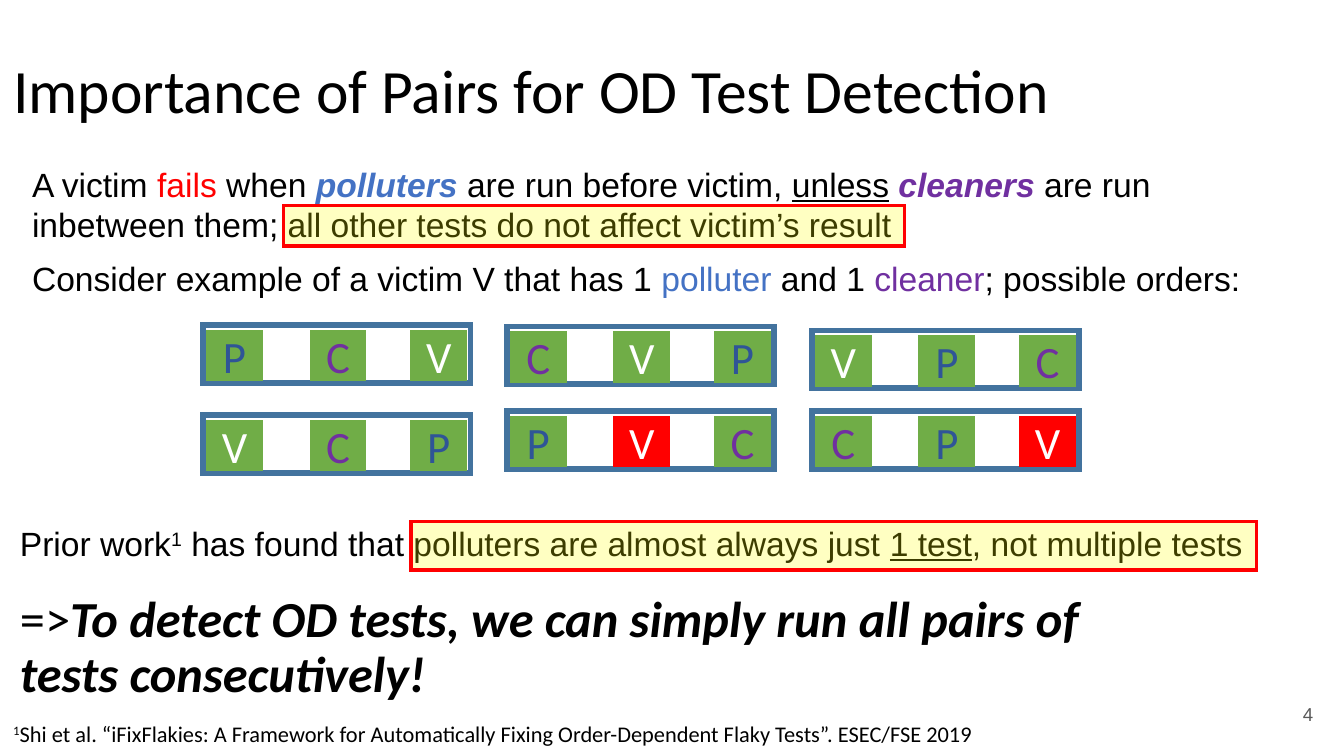
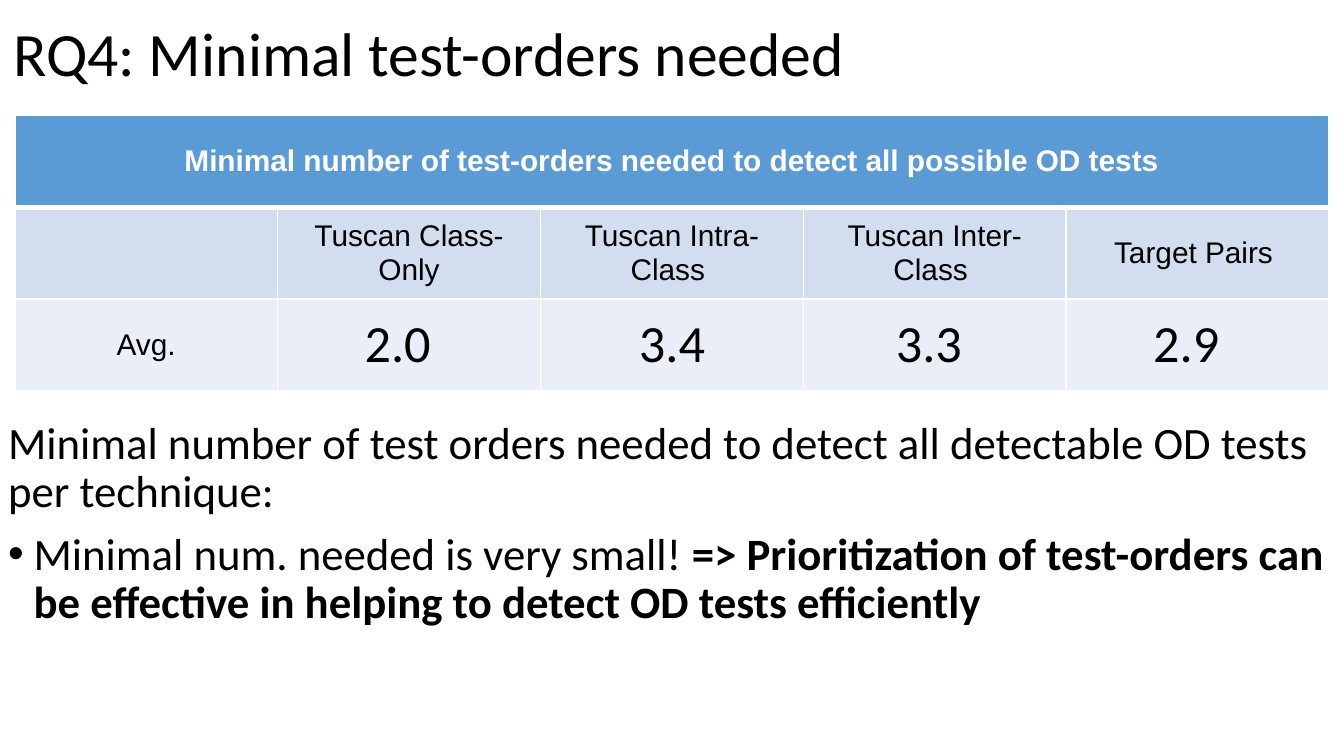
"""Builds two slides on order-dependent (OD) test detection."""
from lxml import etree
from pptx import Presentation
from pptx.dml.color import RGBColor
from pptx.enum.shapes import MSO_SHAPE
from pptx.enum.text import MSO_ANCHOR, PP_ALIGN
from pptx.oxml.ns import qn
from pptx.util import Inches, Pt

BLACK = RGBColor(0x00, 0x00, 0x00)
WHITE = RGBColor(0xFF, 0xFF, 0xFF)
GRAY = RGBColor(0x59, 0x59, 0x59)
RED = RGBColor(0xFF, 0x00, 0x00)
GREEN = RGBColor(0x70, 0xAD, 0x47)
YELLOW = RGBColor(0xFF, 0xFF, 0x00)
BLUE = RGBColor(0x44, 0x72, 0xC4)
NAVY = RGBColor(0x2F, 0x55, 0x97)
PURPLE = RGBColor(0x70, 0x30, 0xA0)
FRAME_BLUE = RGBColor(0x43, 0x73, 0x9E)
HEADER_BLUE = RGBColor(0x5B, 0x9B, 0xD5)
BAND_DARK = RGBColor(0xD2, 0xDE, 0xEF)
BAND_LIGHT = RGBColor(0xEA, 0xEF, 0xF7)

TITLE_STYLE = {"name": "Calibri", "size": Pt(33)}
ARIAL_STYLE = {"name": "Arial", "size": Pt(18)}
NUMBER_STYLE = {"name": "Arial", "size": Pt(10), "color": GRAY}
NOTE_STYLE = {"name": "Calibri", "size": Pt(12)}
CLAIM_STYLE = {"name": "Calibri", "size": Pt(27)}
BODY_STYLE = {"name": "Calibri", "size": Pt(24)}
LABEL_STYLE = {"name": "Arial", "size": Pt(16)}
VALUE_STYLE = {"name": "Calibri", "size": Pt(28)}
STRONG = {"bold": True, "italic": True}
RAISED = {"baseline": "30000"}
UNDERLINED = {"underline": True}
TIGHT = {"line_spacing": 0.9, "space_before": Pt(7.5)}
PLAIN_MARGINS = (0.1, 0.05, 0.1, 0.05)
SMALL_MARGINS = (0.07, 0.04, 0.07, 0.04)

PAIRS_TITLE = "Importance of Pairs for OD Test Detection"
PAIRS_NUMBER = "4"
VICTIM_RULE = [
    ("A victim ", {}), ("fails", {"color": RED}), (" when ", {}),
    ("polluters", {"color": BLUE, **STRONG}), (" are run before victim, ", {}),
    ("unless", UNDERLINED), (" ", {}), ("cleaners", {"color": PURPLE, **STRONG}),
    (" are run inbetween them; all other tests do not affect victim’s result", {}),
]
EXAMPLE = [
    ("Consider example of a victim V that has 1 ", {}), ("polluter", {"color": BLUE}),
    (" and 1 ", {}), ("cleaner", {"color": PURPLE}), ("; possible orders:", {}),
]
PRIOR_WORK = [
    ("Prior work", {}), ("1", RAISED),
    (" has found that polluters are almost always just ", {}),
    ("1 test", UNDERLINED), (", not multiple tests", {}),
]
CLAIM = [
    ("=>", {}),
    ("To detect OD tests, we can simply run all pairs of tests consecutively!", STRONG),
]
CITATION = [
    ("1", RAISED),
    ("Shi et al. “iFixFlakies: A Framework for Automatically Fixing "
     "Order-Dependent Flaky Tests”. ESEC/FSE 2019", {}),
]
TEST_COLORS = {"P": NAVY, "C": PURPLE, "V": WHITE}
ORDER_COLUMNS = {
    1.51: [("PCV", 2.42), ("VCP", 3.09)],
    3.77: [("CVP", 2.43), ("PVC", 3.06)],
    6.04: [("VPC", 2.46), ("CPV", 3.06)],
}
FAILING_ORDERS = {"PVC", "CPV"}
HIGHLIGHTS = [(2.11, 1.53, 4.62, 0.3), (3.06, 3.88, 6.29, 0.36)]

ORDERS_TITLE = "RQ4: Minimal test-orders needed"
TABLE_HEADER = "Minimal number of test-orders needed to detect all possible OD tests"
TECHNIQUES = ["", "Tuscan Class-Only", "Tuscan Intra-Class ", "Tuscan Inter-Class ",
              "Target Pairs "]
AVERAGES = ["Avg.", "2.0", "3.4", "3.3 ", "2.9"]
SHIFTED_AVERAGES = {"2.0", "2.9"}
FINDINGS = [
    [("Minimal number of test orders needed to detect all detectable OD tests "
      "per technique:", {})],
    [("Minimal num. needed is very small! ", {}),
     ("=> Prioritization of test-orders can be effective in helping to detect "
      "OD tests efficiently", {"bold": True})],
]


def write(paragraph, runs, style, **layout):
    for key, value in layout.items():
        setattr(paragraph, key, value)
    for text, changes in runs:
        run = paragraph.add_run()
        run.text = text
        for key, value in {"color": BLACK, **style, **changes}.items():
            if key == "color":
                run.font.color.rgb = value
            elif key == "baseline":
                run._r.get_or_add_rPr().set("baseline", value)
            else:
                setattr(run.font, key, value)


def set_margins(holder, margins):
    for side, margin in zip(("left", "top", "right", "bottom"), margins):
        setattr(holder, f"margin_{side}", Inches(margin))


def add_text(slide, place, paragraphs, style, margins=PLAIN_MARGINS,
             anchor=MSO_ANCHOR.TOP, **layout):
    frame = slide.shapes.add_textbox(*map(Inches, place)).text_frame
    frame.word_wrap = True
    frame.vertical_anchor = anchor
    set_margins(frame, margins)
    for index, runs in enumerate(paragraphs):
        paragraph = frame.add_paragraph() if index else frame.paragraphs[0]
        write(paragraph, runs, style, **layout)
    return frame


def add_title(slide, title, height):
    add_text(slide, (0, 0, 10, height), [[(title, {})]], TITLE_STYLE,
             anchor=MSO_ANCHOR.MIDDLE, line_spacing=0.9)


def add_box(slide, place, line, width, fill=None):
    box = slide.shapes.add_shape(MSO_SHAPE.RECTANGLE, *map(Inches, place))
    box.shadow.inherit = False
    box.line.color.rgb = line
    box.line.width = Pt(width)
    etree.SubElement(box.line._get_or_add_ln(), qn("a:miter"), lim="800000")
    if fill is None:
        box.fill.background()
    else:
        box.fill.solid()
        box.fill.fore_color.rgb = fill
    return box


def add_order(slide, left, top, order):
    add_box(slide, (left, top, 1.99, 0.43), FRAME_BLUE, 3)
    for test, offset in zip(order, (0.03, 0.8, 1.55)):
        failing = test == "V" and order in FAILING_ORDERS
        color = RED if failing else GREEN
        box = add_box(slide, (left + offset, top + 0.04, 0.41, 0.37), color, 1, color)
        frame = box.text_frame
        frame.vertical_anchor = MSO_ANCHOR.MIDDLE
        set_margins(frame, PLAIN_MARGINS)
        write(frame.paragraphs[0], [(test, {"color": TEST_COLORS[test]})], BODY_STYLE,
              alignment=PP_ALIGN.CENTER)


def add_highlight(slide, place):
    box = add_box(slide, place, RED, 2, YELLOW)
    color = box._element.spPr.find(qn("a:solidFill"))[0]
    etree.SubElement(color, qn("a:alpha"), val="24000")


def add_bullet(paragraph):
    properties = paragraph._p.get_or_add_pPr()
    indent = Inches(0.19)
    properties.set("marL", str(indent))
    properties.set("indent", str(-indent))
    etree.SubElement(properties, qn("a:buFont"), typeface="Arial")
    etree.SubElement(properties, qn("a:buChar"), char="•")


def set_borders(cell, widths):
    properties = cell._tc.get_or_add_tcPr()
    for index, (side, width) in enumerate(widths.items()):
        line = etree.Element(qn(f"a:ln{side}"), w=str(Pt(width)))
        fill = etree.SubElement(line, qn("a:solidFill"))
        etree.SubElement(fill, qn("a:srgbClr"), val=str(WHITE))
        properties.insert(index, line)


def add_orders_table(slide):
    rows = [[TABLE_HEADER, "", "", "", ""], TECHNIQUES, AVERAGES]
    fills = [HEADER_BLUE, BAND_DARK, BAND_LIGHT]
    place = (0.11, 0.86, 9.78, 2.05)
    table = slide.shapes.add_table(len(rows), len(TECHNIQUES),
                                   *map(Inches, place)).table
    table.cell(0, 0).merge(table.cell(0, len(TECHNIQUES) - 1))
    for r, texts in enumerate(rows):
        for c, text in enumerate(texts):
            cell = table.cell(r, c)
            cell.fill.solid()
            cell.fill.fore_color.rgb = fills[r]
            set_borders(cell, {"L": 1, "R": 1, "T": 3 if r == 1 else 1,
                               "B": 3 if r == 0 else 1})
            cell.vertical_anchor = MSO_ANCHOR.MIDDLE
            set_margins(cell, SMALL_MARGINS)
            if text in SHIFTED_AVERAGES:
                cell.margin_right = Inches(0.24)
            if text:
                style = VALUE_STYLE if r == 2 and c else LABEL_STYLE
                header = {"color": WHITE} if r == 0 else {}
                write(cell.text_frame.paragraphs[0],
                      [(text, {"bold": r == 0, **header})], style,
                      alignment=PP_ALIGN.CENTER)


def build_pairs_slide(slide):
    add_title(slide, PAIRS_TITLE, 1.39)
    add_text(slide, (9.27, 5.1, 0.6, 0.43), [[(PAIRS_NUMBER, {})]], NUMBER_STYLE,
             anchor=MSO_ANCHOR.MIDDLE, alignment=PP_ALIGN.RIGHT)
    add_text(slide, (0.14, 1.17, 9.36, 0.71), [VICTIM_RULE], ARIAL_STYLE)
    add_text(slide, (0.14, 1.87, 9.21, 0.4), [EXAMPLE], ARIAL_STYLE)
    for left, orders in ORDER_COLUMNS.items():
        for order, top in orders:
            add_order(slide, left, top, order)
    add_text(slide, (0.05, 3.84, 9.34, 0.4), [PRIOR_WORK], ARIAL_STYLE)
    add_text(slide, (0.05, 4.37, 8.86, 0.92), [CLAIM], CLAIM_STYLE, **TIGHT)
    add_text(slide, (0, 5.23, 7.6, 0.43), [CITATION], NOTE_STYLE,
             margins=(0.1, 0.1, 0.1, 0.1), line_spacing=1.15)
    for place in HIGHLIGHTS:
        add_highlight(slide, place)


def build_orders_slide(slide):
    add_title(slide, ORDERS_TITLE, 0.84)
    findings = add_text(slide, (-0.01, 3.09, 10.13, 2.54), FINDINGS, BODY_STYLE,
                        margins=SMALL_MARGINS, **TIGHT)
    add_bullet(findings.paragraphs[1])
    add_orders_table(slide)


def main():
    deck = Presentation()
    deck.slide_width = Inches(10)
    deck.slide_height = deck.slide_width * 9 // 16
    for build in (build_pairs_slide, build_orders_slide):
        build(deck.slides.add_slide(deck.slide_layouts[6]))
    deck.save("out.pptx")


if __name__ == "__main__":
    main()
